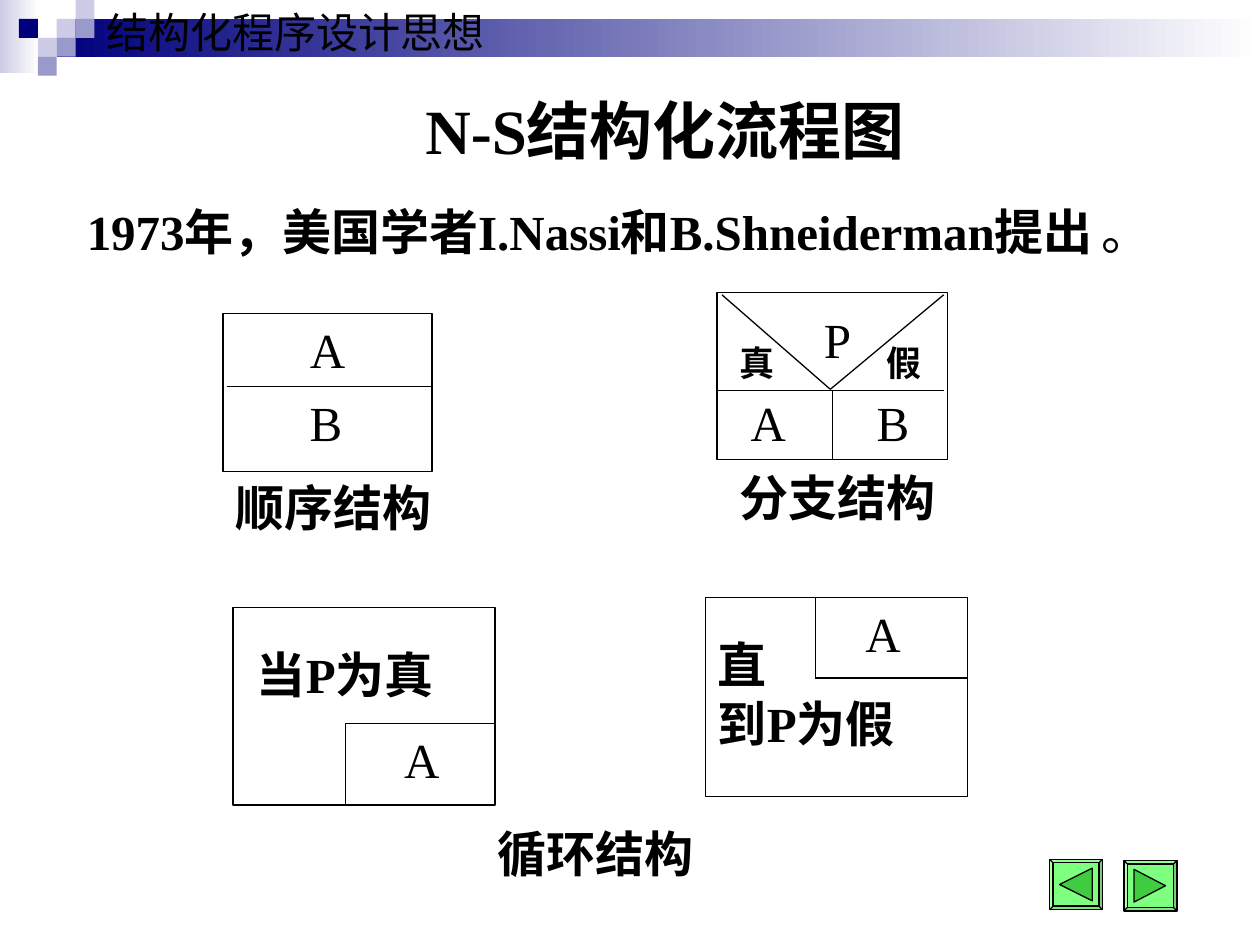
import pptx
import pptx.chart.data
import pptx.dml.color
import pptx.enum.shapes
import pptx.enum.text
import pptx.oxml
import pptx.oxml.ns
import pptx.util

Inches = pptx.util.Inches
SHAPE = pptx.enum.shapes.MSO_SHAPE
ALIGN = pptx.enum.text.PP_ALIGN
SERIF = "Times New Roman"
SANS = "Noto Sans CJK SC"
LETTER = {"size": 28, "bold": False}
CAPTION = {"size": 28, "bold": True}
BRANCH_LABEL = {"size": 20, "bold": True}


def rgb(value):
    return pptx.dml.color.RGBColor.from_string(value)


def sub(parent, tag, **attrs):
    el = pptx.oxml.parse_xml(f"<{tag} {pptx.oxml.ns.nsdecls('a')}/>")
    for key, value in attrs.items():
        el.set(key, value)
    parent.append(el)
    return el


def style_run(r, size, bold, name=None):
    name = name or (SERIF if r.text.isascii() else SANS)
    values = {"size": pptx.util.Pt(size), "bold": bold, "name": name}
    for key, value in values.items():
        setattr(r.font, key, value)
    r.font.color.rgb = rgb("000000")
    sub(r.font._element, "a:ea", typeface=SANS)


def write(sp, paragraphs, fmt, align=ALIGN.LEFT, wrap=True):
    tf = sp.text_frame
    frame = {"word_wrap": wrap, "vertical_anchor": pptx.enum.text.MSO_ANCHOR.TOP}
    for key, value in frame.items():
        setattr(tf, key, value)
    for i, runs in enumerate(paragraphs):
        p = tf.paragraphs[0] if i == 0 else tf.add_paragraph()
        p.alignment = align
        for run in runs:
            text, extra = run if isinstance(run, tuple) else (run, {})
            r = p.add_run()
            r.text = text
            style_run(r, **{**fmt, **extra})


def add_text(s, x, y, w, h, paragraphs, fmt, **options):
    sp = s.shapes.add_textbox(Inches(x), Inches(y), Inches(w), Inches(h))
    write(sp, paragraphs, fmt, **options)


def add_letter(s, x, y, text, fmt=LETTER):
    add_text(s, x, y, 0.47, 0.57, [[text]], fmt, wrap=False)


def add_box(s, x, y, w, h, fill="FFFFFF", line=None, kind=SHAPE.RECTANGLE):
    sp = s.shapes.add_shape(kind, Inches(x), Inches(y), Inches(w), Inches(h))
    sp.shadow.inherit = False
    if isinstance(fill, tuple):
        sp.fill.gradient()
        sp.fill.gradient_angle = 0
        for stop, color in zip(sp.fill.gradient_stops, fill):
            stop.color.rgb = rgb(color)
    else:
        sp.fill.solid()
        sp.fill.fore_color.rgb = rgb(fill)
    outline(sp, line)
    return sp


def outline(sp, line):
    if line:
        sp.line.color.rgb = rgb(line)
        sp.line.width = pptx.util.Pt(0.75)
    else:
        sp.line.fill.background()


def add_line(s, x1, y1, x2, y2):
    cx = s.shapes.add_connector(
        pptx.enum.shapes.MSO_CONNECTOR.STRAIGHT,
        Inches(x1), Inches(y1), Inches(x2), Inches(y2))
    outline(cx, "000000")
    sub(cx._element.spPr, "a:effectLst")
    return cx


def header(s, x, y, w):
    unit = 0.15
    add_box(s, x, y, 0.31, 0.58, ("CCCCE6", "FFFFFF"))
    add_box(s, x + 3 * unit, y + unit, w - 3 * unit, 2 * unit, ("00007D", "FFFFFF"))
    squares = [(3, 1, "CCCCE6"), (4, 0, "CCCCE6"), (4, 1, "9999CC"),
               (2, 2, "CCCCE6"), (1, 1, "00007D"), (3, 2, "9999CC"),
               (2, 3, "9999CC")]
    for col, row, color in squares:
        add_box(s, x + col * unit, y + row * unit, unit, unit, color)
    add_text(s, x + 5 * unit, y, 3.2, 0.5, [["结构化程序设计思想"]],
             {"size": 24, "bold": False, "name": SERIF}, wrap=False)


def navigation_button(s, x, y, w, h, forward):
    frame = add_box(s, x, y, w, h, "00FF00", "000000", SHAPE.BEVEL)
    frame.adjustments[0] = 0.07
    color = frame.fill._xPr.find(".//" + pptx.oxml.ns.qn("a:srgbClr"))
    sub(color, "a:alpha", val="50000")
    base, tip = (x + 0.08, x + 0.33) if forward else (x + 0.34, x + 0.08)
    mid, half = y + h / 2, 0.13
    points = [(base, mid - half), (tip, mid), (base, mid + half)]
    points = [(Inches(px), Inches(py)) for px, py in points]
    fb = s.shapes.build_freeform(*points[0])
    fb.add_line_segments(points[1:], close=True)
    sp = fb.convert_to_shape()
    sp.shadow.inherit = False
    sp.fill.solid()
    sp.fill.fore_color.rgb = rgb("40CC40")
    outline(sp, "000000")


def headings(s, x, y, w):
    add_text(s, x, y, w, 1.3, [["N-S", "结构化流程图"]],
             {"size": 36, "bold": True}, align=ALIGN.CENTER)
    gap = (" ", {"size": 22, "bold": False})
    stop = ("。", {"bold": False, "name": SERIF})
    add_text(s, x + 0.03, y + 0.87, w - 0.03, 0.57,
             [["1973", "年，美国学者", "I.Nassi", "和", "B.Shneiderman",
               "提出", gap, stop]], CAPTION)


def sequence(s, x, y, w, h):
    box = add_box(s, x, y, w, h, line="000000")
    write(box, [["A"]], LETTER, align=ALIGN.CENTER)
    add_line(s, x + 0.03, y + 0.58, x + w, y + 0.58)
    add_letter(s, x + 0.59, y + 0.58, "B")
    add_text(s, x, y + h, 2, 0.57, [["顺序结构"]], CAPTION)


def branch(s, x, y, w, h):
    box = add_box(s, x, y, w, h, line="000000")
    split, mid = y + 0.78, x + w / 2
    add_line(s, x, split, x + w - 0.03, split)
    add_line(s, mid, split, mid, y + h).end_connect(box, 2)
    for corner in (x + 0.04, x + w - 0.03):
        add_line(s, corner, y + 0.02, x + 0.9, split - 0.01)
    add_letter(s, x + 0.75, y + 0.09, "P")
    add_letter(s, x + 0.17, y + 0.75, "A")
    add_letter(s, x + 1.17, y + 0.75, "B")
    for dx, label in ((0.08, "真"), (1.25, "假")):
        add_letter(s, x + dx, y + 0.34, label, BRANCH_LABEL)
    add_text(s, x + 0.08, y + h + 0.01, 2, 0.57, [["分支结构"]], CAPTION)


def while_loop(s, x, y, w, h):
    add_box(s, x, y, w, h, line="000000")
    add_line(s, x + 0.89, y + 0.92, x + 0.89, y + h)
    add_line(s, x + 0.89, y + 0.92, x + w, y + 0.92)
    add_text(s, x + 0.09, y + 0.25, 1.92, 0.57, [["当", "P", "为真"]], CAPTION)
    add_letter(s, x + 1.26, y + 0.92, "A")


def until_loop(s, x, y, w, h):
    add_box(s, x, y, w, h, line="000000")
    add_line(s, x + 0.87, y, x + 0.87, y + 0.64)
    add_line(s, x + 0.87, y + 0.64, x + w, y + 0.64)
    add_text(s, x, y + 0.25, 2, 1.04, [["直"], ["到", "P", "为假"]], CAPTION)
    add_letter(s, x + 1.17, y, "A")


def main():
    prs = pptx.Presentation()
    prs.slide_width, prs.slide_height = Inches(10), Inches(7.5)
    s = prs.slides.add_slide(prs.slide_layouts[6])
    header(s, 0, 0, 10)
    navigation_button(s, 8.92, 6.83, 0.42, 0.4, True)
    navigation_button(s, 8.33, 6.82, 0.42, 0.4, False)
    headings(s, 0.56, 0.68, 9.44)
    sequence(s, 1.77, 2.49, 1.66, 1.25)
    branch(s, 5.69, 2.32, 1.83, 1.33)
    while_loop(s, 1.85, 4.82, 2.08, 1.57)
    until_loop(s, 5.6, 4.74, 2.08, 1.58)
    add_text(s, 3.85, 6.49, 2, 0.57, [["循环结构"]], CAPTION)
    prs.save("out.pptx")


if __name__ == "__main__":
    main()
